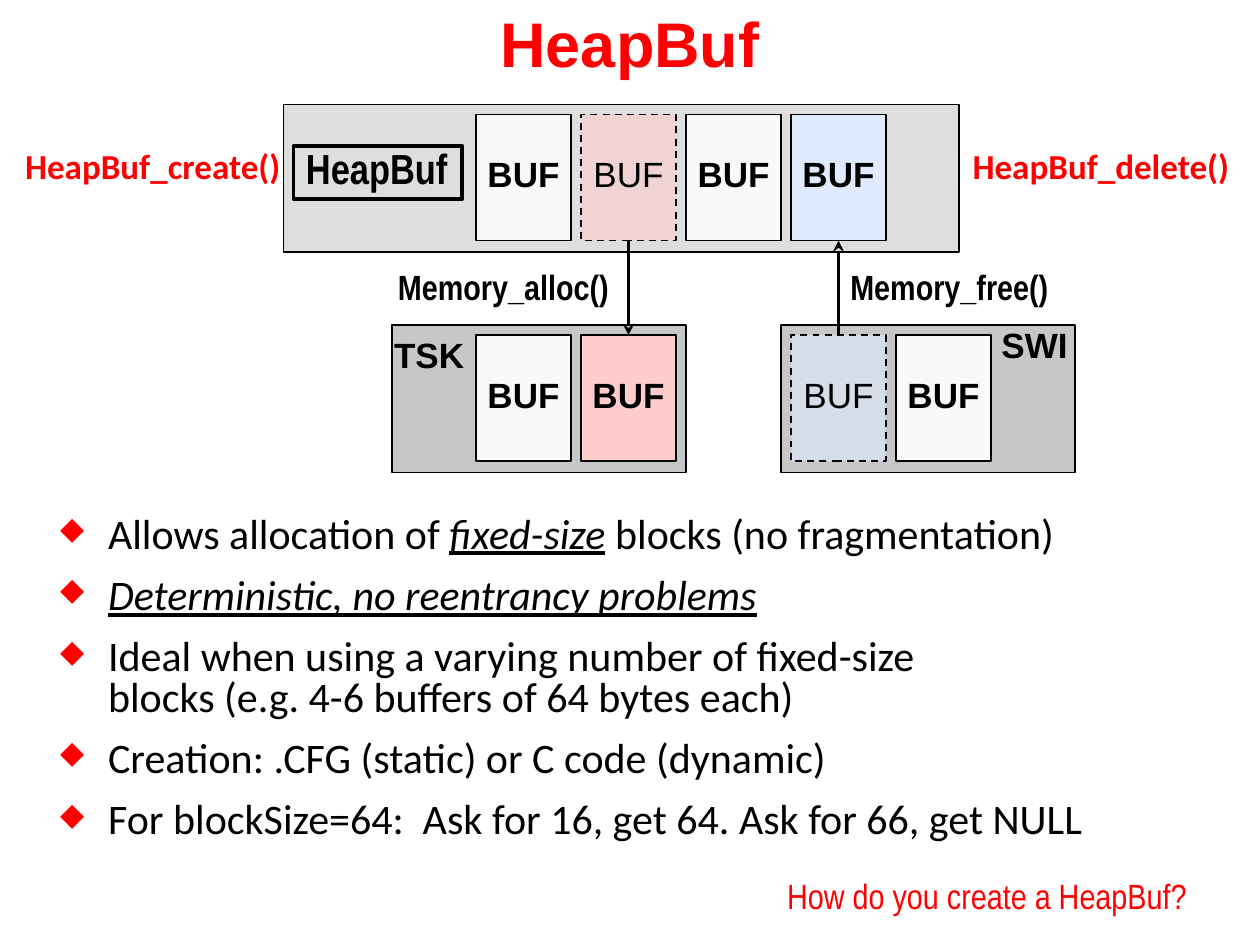
from dataclasses import dataclass

from lxml import etree
from pptx import Presentation
from pptx import util as u
from pptx.dml.color import RGBColor
from pptx.enum import dml, shapes, text
from pptx.oxml import ns


@dataclass(frozen=True)
class Theme:
    accent: str = "FF0000"
    ink: str = "000000"
    heap: str = "DEDEDE"
    thread: str = "C7C7C7"
    plain: str = "F9F9F9"
    allocated: str = "FFCCCC"
    freed: str = "E0EBFF"
    sans: str = "Arial"
    narrow: str = "Arial Narrow"
    body: str = "Calibri"
    title_size: int = 36
    body_size: int = 24
    label_size: int = 20


THEME = Theme()
COLUMN_LEFT, COLUMN_STEP = 3.78, 2.5 / 3
HEAP_ROW, THREAD_ROW = 0.91, 2.66
BUF_WIDTH, BUF_HEIGHT, PAD = 0.75, 1, 0.08
PANEL_HEIGHT, THREAD_WIDTH = 1.17, 2.33

# Each point is a list of (words, emphasised) runs.
POINTS = [
    [("Allows allocation of ", False), ("fixed-size", True),
     (" blocks (no fragmentation)", False)],
    [("Deterministic, no reentrancy problems", True)],
    [("Ideal when using a varying number of fixed-size\n"
      "blocks (e.g. 4-6 buffers of 64 bytes each)", False)],
    [("Creation: .CFG (static) or C code (dynamic)", False)],
    [("For blockSize=64:  Ask for 16, get 64. Ask for 66, get NULL", False)],
]


def column(index):
    return COLUMN_LEFT + index * COLUMN_STEP


def add_xml(parent, tag, **attributes):
    return etree.SubElement(parent, ns.qn(tag), attributes)


def add_bullet(paragraph):
    properties = paragraph._p.get_or_add_pPr()
    hang = u.Inches(0.38)
    properties.set("marL", str(hang))
    properties.set("indent", str(-hang))
    add_xml(add_xml(properties, "a:buClr"), "a:srgbClr", val=THEME.accent)
    add_xml(properties, "a:buSzPct", val="75000")
    add_xml(properties, "a:buChar", char="◆")


def write(frame, paragraphs, *, size=THEME.label_size, font=THEME.sans,
          color=THEME.ink, bold=False, align=text.PP_ALIGN.LEFT,
          anchor=text.MSO_ANCHOR.TOP, spacing=0.8, bullets=False, inset=None):
    """Fill a frame from a string or from lists of (words, emphasised) runs."""
    if isinstance(paragraphs, str):
        paragraphs = [[(paragraphs, False)]]
    frame.word_wrap = False
    frame.auto_size = text.MSO_AUTO_SIZE.NONE
    frame.vertical_anchor = anchor
    if inset is not None:
        frame.margin_left = frame.margin_right = u.Inches(inset)
        frame.margin_top = frame.margin_bottom = u.Inches(inset)
    for number, runs in enumerate(paragraphs):
        paragraph = frame.add_paragraph() if number else frame.paragraphs[0]
        if bullets:
            add_bullet(paragraph)
        paragraph.alignment = align
        paragraph.line_spacing = spacing
        paragraph.space_before = u.Pt(size / 2 if number else 0)
        for words, emphasised in runs:
            for line_number, line in enumerate(words.split("\n")):
                if line_number:
                    paragraph.add_line_break()
                run = paragraph.add_run()
                run.text = line
                run.font.size = u.Pt(size)
                run.font.name = font
                run.font.bold = bold
                run.font.color.rgb = RGBColor.from_string(color)
                if emphasised:
                    run.font.italic = run.font.underline = True


def add_label(slide, words, left, top, width, height=0.37, **style):
    label = slide.shapes.add_textbox(*map(u.Inches, (left, top, width, height)))
    write(label.text_frame, words, **style)


def add_box(slide, left, top, width, height, fill=None, weight=1):
    box = slide.shapes.add_shape(shapes.MSO_SHAPE.RECTANGLE,
                                 *map(u.Inches, (left, top, width, height)))
    box.shadow.inherit = False
    if fill:
        box.fill.solid()
        box.fill.fore_color.rgb = RGBColor.from_string(fill)
    else:
        box.fill.background()
    box.line.color.rgb = RGBColor.from_string(THEME.ink)
    box.line.width = u.Pt(weight)
    return box


def add_buffer(slide, index, top, fill=THEME.plain, vacated=False):
    """Draw one buffer; a vacated one is dashed and translucent."""
    buffer = add_box(slide, column(index), top, BUF_WIDTH, BUF_HEIGHT, fill)
    if vacated:
        buffer.line.dash_style = dml.MSO_LINE.DASH
        tint = buffer._element.spPr.find(ns.qn("a:solidFill"))[0]
        add_xml(tint, "a:alpha", val="60000")
    write(buffer.text_frame, "BUF", bold=not vacated,
          align=text.PP_ALIGN.CENTER, anchor=text.MSO_ANCHOR.MIDDLE)
    return buffer


def add_arrow(slide, source, source_side, target, target_side):
    arrow = slide.shapes.add_connector(shapes.MSO_CONNECTOR.STRAIGHT, 0, 0, 0, 0)
    arrow.begin_connect(source, source_side)
    arrow.end_connect(target, target_side)
    arrow.line.color.rgb = RGBColor.from_string(THEME.ink)
    arrow.line.width = u.Pt(2.25)
    add_xml(arrow.line._get_or_add_ln(), "a:tailEnd", type="stealth")
    add_xml(arrow._element.spPr, "a:effectLst")


def add_title(slide, words):
    title = slide.shapes.title
    title.left, title.top = 0, 0
    title.width, title.height = u.Inches(10), u.Inches(0.67)
    write(title.text_frame, words, size=THEME.title_size, color=THEME.accent,
          bold=True, align=text.PP_ALIGN.CENTER,
          anchor=text.MSO_ANCHOR.MIDDLE, spacing=1.0)


def add_diagram(slide):
    task_left = column(1) + BUF_WIDTH + PAD - THREAD_WIDTH
    for left, row, width, fill in (
            (task_left, THREAD_ROW, THREAD_WIDTH, THEME.thread),
            (column(3) - PAD, THREAD_ROW, THREAD_WIDTH, THEME.thread),
            (2.25, HEAP_ROW, 5.36, THEME.heap)):
        add_box(slide, left, row - PAD, width, PANEL_HEIGHT, fill)

    for index, row in ((0, HEAP_ROW), (2, HEAP_ROW),
                       (0, THREAD_ROW), (4, THREAD_ROW)):
        add_buffer(slide, index, row)
    lent = add_buffer(slide, 1, HEAP_ROW, THEME.allocated, vacated=True)
    received = add_buffer(slide, 1, THREAD_ROW, THEME.allocated)
    released = add_buffer(slide, 3, THREAD_ROW, THEME.freed, vacated=True)
    returned = add_buffer(slide, 3, HEAP_ROW, THEME.freed)
    add_arrow(slide, lent, 2, received, 0)
    add_arrow(slide, released, 0, returned, 2)

    add_label(slide, "TSK", 3.03, THREAD_ROW, 0.76, bold=True)
    add_label(slide, "SWI", 7.85, THREAD_ROW - PAD, 0.73, bold=True)
    for call, left, width in (("Memory_alloc()", 3.06, 1.89),
                              ("Memory_free()", 6.65, 1.79)):
        add_label(slide, call, left, 2.12, width, font=THEME.narrow, bold=True)
    for call, left in (("HeapBuf_create()", 0.1), ("HeapBuf_delete()", 7.62)):
        add_label(slide, call, left, 1.16, 2.25, font=THEME.body,
                  color=THEME.accent, bold=True)
    heap_name = add_box(slide, 2.33, 1.16, 1.34, 0.42, weight=2.25)
    write(heap_name.text_frame, "HeapBuf", size=THEME.body_size,
          font=THEME.narrow, bold=True, anchor=text.MSO_ANCHOR.MIDDLE)


def main():
    deck = Presentation()
    deck.slide_width, deck.slide_height = u.Inches(10), u.Inches(7.5)
    slide = deck.slides.add_slide(deck.slide_layouts.get_by_name("Title Only"))
    add_title(slide, "HeapBuf")
    add_label(slide, POINTS, 0.38, 3.97, 8.37, 2.85, size=THEME.body_size,
              font=THEME.body, anchor=text.MSO_ANCHOR.MIDDLE, bullets=True)
    add_label(slide, "How do you create a HeapBuf?", 6.22, 7, 3.2, 0.27,
              font=THEME.narrow, color=THEME.accent, inset=0,
              align=text.PP_ALIGN.RIGHT, anchor=text.MSO_ANCHOR.BOTTOM)
    add_diagram(slide)
    deck.save("out.pptx")


if __name__ == "__main__":
    main()
